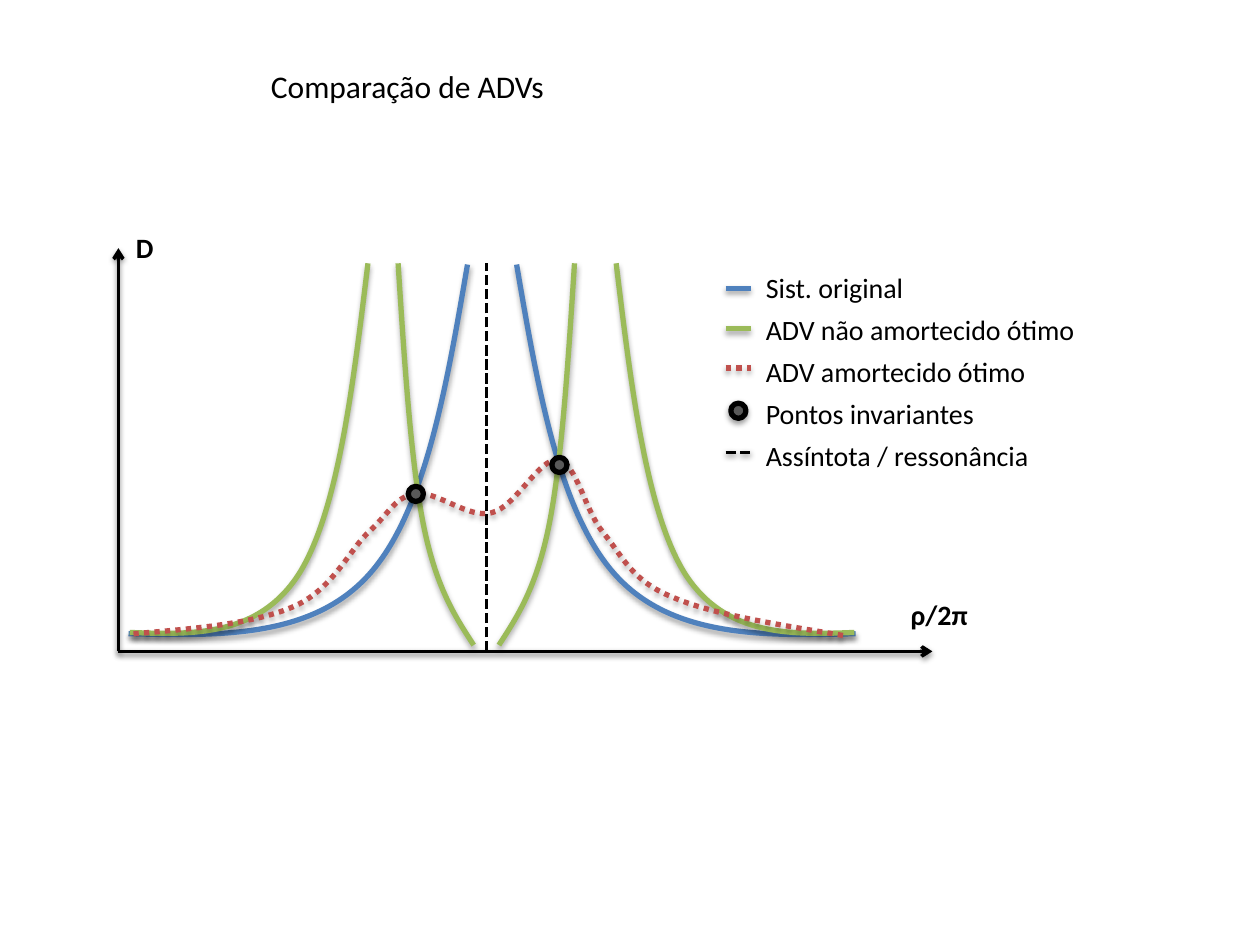
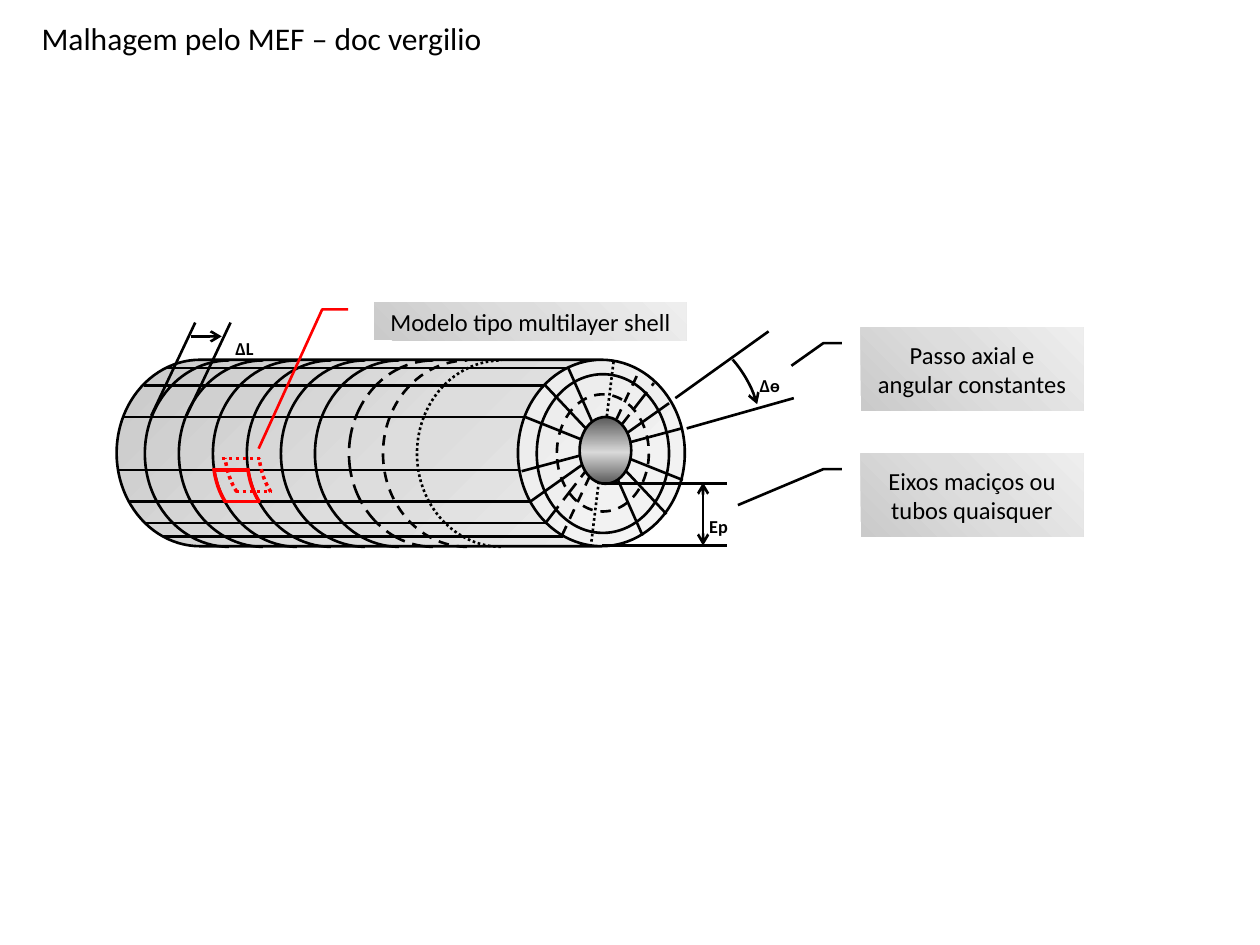
from lxml import etree
from pptx import Presentation
from pptx.dml.color import RGBColor
from pptx.enum.dml import MSO_LINE
from pptx.enum.shapes import MSO_CONNECTOR, MSO_SHAPE
from pptx.enum.text import MSO_ANCHOR, MSO_AUTO_SIZE, PP_ALIGN
from pptx.oxml.ns import qn
from pptx.util import Inches, Pt

STRAIGHT = MSO_CONNECTOR.STRAIGHT
ARC, CAN, ELLIPSE = MSO_SHAPE.ARC, MSO_SHAPE.CAN, MSO_SHAPE.OVAL
CALLOUT = MSO_SHAPE.LINE_CALLOUT_2_NO_BORDER
SYS_DASH, SYS_DOT = MSO_LINE.SQUARE_DOT, MSO_LINE.ROUND_DOT
DASH, LONG_DASH = MSO_LINE.DASH, MSO_LINE.LONG_DASH
LEFT, CENTER = PP_ALIGN.LEFT, PP_ALIGN.CENTER
TOP, MIDDLE = MSO_ANCHOR.TOP, MSO_ANCHOR.MIDDLE

COLORS = {
    "black": "000000",
    "blue": "4F81BD",
    "green": "9BBB59",
    "red": "C0504D",
    "highlight": "FF0000",
    "point": "595959",
}
FONT = "Calibri"
TITLE_ONLY = 5
PALE_GRADIENT = (315, [(0, "CACACA"), (50, "DDDDDD"), (100, "EEEEEE")])
STEEL_GRADIENT = (90, [(0, "595959"), (53, "D9D9D9"), (100, "595959")])
THIN_SHADOW = {"alpha": 38, "distance": 1.6}
CURVE_SHADOW = {"alpha": 35, "distance": 1.8}
LEADER_START = (3 / 16, -1 / 12, 3 / 16, -1 / 6)

AXIS = {"width": 2, "shadow": THIN_SHADOW}
RESONANCE = {"width": 2, "dash": SYS_DASH}
BLUE_CURVE = {"color": "blue", "width": 3, "shadow": CURVE_SHADOW}
GREEN_CURVE = {**BLUE_CURVE, "color": "green"}
RED_CURVE = {**BLUE_CURVE, "color": "red", "dash": SYS_DOT}
POINT = {"width": 3, "shadow": THIN_SHADOW}
ELEMENT = {"color": "highlight", "width": 2}
HIDDEN_ELEMENT = {**ELEMENT, "dash": SYS_DOT}


def apply(target, values):
    for name, value in values.items():
        setattr(target, name, value)


def add_element(parent, tag, **attributes):
    return etree.SubElement(parent, qn(tag), {key: str(value) for key, value in attributes.items()})


def set_outline(shape, color="black", width=1.5, dash=None, shadow=None, arrows=()):
    shape.line.color.rgb = RGBColor.from_string(COLORS[color])
    apply(shape.line, {"width": Pt(width), "dash_style": dash})
    properties = shape._element.spPr
    for end in arrows:
        add_element(properties.find(qn("a:ln")), f"a:{end}End", type="arrow")
    effects = add_element(properties, "a:effectLst")
    if shadow:
        outer = add_element(effects, "a:outerShdw", blurRad=Pt(3.1), dist=Pt(shadow["distance"]),
                            dir=90 * 60000, rotWithShape=0)
        color_element = add_element(outer, "a:srgbClr", val=COLORS["black"])
        add_element(color_element, "a:alpha", val=shadow["alpha"] * 1000)


def set_gradient(shape, gradient):
    angle, stops = gradient
    shape.fill.gradient()
    fill = shape._element.spPr.find(qn("a:gradFill"))
    for child in list(fill):
        fill.remove(child)
    fill.set("rotWithShape", "1")
    stop_list = add_element(fill, "a:gsLst")
    for position, color in stops:
        stop = add_element(stop_list, "a:gs", pos=position * 1000)
        add_element(stop, "a:srgbClr", val=color)
    add_element(fill, "a:lin", ang=angle * 60000, scaled=0)


def add_line(slide, start, end, **outline):
    line = slide.shapes.add_connector(STRAIGHT, *map(Inches, (*start, *end)))
    set_outline(line, **outline)


def add_preset(slide, kind, box, fill=None, adjustments=(), rotation=0, **outline):
    shape = slide.shapes.add_shape(kind, *map(Inches, box))
    shape.rotation = rotation
    for index, value in enumerate(adjustments):
        shape.adjustments[index] = value
    if fill is None:
        shape.fill.background()
    elif isinstance(fill, tuple):
        set_gradient(shape, fill)
    else:
        shape.fill.solid()
        shape.fill.fore_color.rgb = RGBColor.from_string(COLORS[fill])
    set_outline(shape, **outline)
    return shape


def add_arc(slide, box, start, end, **outline):
    add_preset(slide, ARC, box, adjustments=(start, end), **outline)


def add_curve(slide, controls, **outline):
    start, *points = [tuple(map(Inches, point)) for point in controls]
    builder = slide.shapes.build_freeform(*start)
    builder.add_line_segments(points, close=False)
    curve = builder.convert_to_shape()
    segments = list(curve._element.spPr.iter(qn("a:lnTo")))
    for first in range(0, len(segments), 3):
        bezier = add_element(segments[first].getparent(), "a:cubicBezTo")
        for segment in segments[first:first + 3]:
            bezier.append(segment[0])
            segment.getparent().remove(segment)
    curve.fill.background()
    set_outline(curve, **outline)


def add_mirrored_curves(slide, controls, mirror_sum, **outline):
    add_curve(slide, controls, **outline)
    add_curve(slide, [(mirror_sum - x, y) for x, y in controls], **outline)


def write(shape, text, size, bold=False, align=LEFT, anchor=TOP, wrap=False, baseline=0):
    frame = shape.text_frame
    apply(frame, {"word_wrap": wrap, "auto_size": MSO_AUTO_SIZE.NONE, "vertical_anchor": anchor})
    paragraph = frame.paragraphs[0]
    paragraph.alignment = align
    run = paragraph.add_run()
    run.text = text
    apply(run.font, {"name": FONT, "size": Pt(size), "bold": bold})
    run.font.color.rgb = RGBColor.from_string(COLORS["black"])
    if baseline:
        run._r.get_or_add_rPr().set("baseline", str(baseline * 1000))


def add_label(slide, text, box, size=16, **style):
    write(slide.shapes.add_textbox(*map(Inches, box)), text, size, **style)


def add_dimension_label(slide, text, left, top):
    add_label(slide, text, (left, top, 0.38, 0.3), size=18, bold=True, baseline=-25)


def add_callout(slide, text, box, leader_end, color):
    shape = add_preset(slide, CALLOUT, box, PALE_GRADIENT, LEADER_START + leader_end, color=color)
    write(shape, text, 14, align=CENTER, anchor=MIDDLE, wrap=True)


def add_titled_slide(presentation, text, box):
    slide = presentation.slides.add_slide(presentation.slide_layouts[TITLE_ONLY])
    title = slide.shapes.title
    apply(title, dict(zip(("left", "top", "width", "height"), map(Inches, box))))
    write(title, text, 18)
    return slide


def add_invariant_point(slide, x, y):
    add_preset(slide, ELLIPSE, (x - 0.06, y - 0.06, 0.12, 0.12), "point", **POINT)


def add_legend(slide):
    entries = [
        ("Sist. original", 1.3, 2.29, BLUE_CURVE),
        ("ADV não amortecido ótimo", 2.69, 2.61, GREEN_CURVE),
        ("ADV amortecido ótimo", 2.29, 2.92, RED_CURVE),
        ("Pontos invariantes", 1.87, 3.26, None),
        ("Assíntota / ressonância", 2.31, 3.59, {**RESONANCE, "shadow": THIN_SHADOW}),
    ]
    for index, (text, width, marker_y, outline) in enumerate(entries):
        if outline:
            add_line(slide, (5.76, marker_y), (5.96, marker_y), **outline)
        else:
            add_invariant_point(slide, 5.86, marker_y)
        add_label(slide, text, (5.98, 2.1 + index / 3, width, 0.37))


def build_comparison(presentation):
    slide = add_titled_slide(presentation, "Comparação de ADVs", (2.05, 0.48, 2.39, 0.4))
    origin = (0.94, 5.17)
    for axis_end in ((0.94, 1.97), (7.4, 5.17)):
        add_line(slide, origin, axis_end, arrows=["tail"], **AXIS)
    add_line(slide, (3.86, 5.17), (3.86, 2.09), **RESONANCE)

    undamped = [(1.02, 5.03), (1.75, 5.05), (2.47, 5.06), (2.92, 4.57), (3.37, 4.08), (3.54, 3.09), (3.71, 2.1)]
    outer = [(1.03, 5.02), (1.54, 5.04), (2.05, 5.05), (2.37, 4.56), (2.68, 4.07), (2.8, 3.08), (2.92, 2.09)]
    inner = [(3.16, 2.09), (3.21, 2.87), (3.26, 3.65), (3.36, 4.16), (3.46, 4.66), (3.61, 4.89), (3.76, 5.12)]
    damped = [
        (1.06, 5.03), (1.54, 4.99), (2.03, 4.95), (2.34, 4.81), (2.65, 4.67), (2.78, 4.35), (2.94, 4.21),
        (3.1, 4.06), (3.14, 3.94), (3.3, 3.92), (3.46, 3.89), (3.72, 4.12), (3.9, 4.07),
        (4.09, 4.03), (4.28, 3.63), (4.43, 3.65), (4.58, 3.68), (4.64, 4.05), (4.79, 4.23),
        (4.94, 4.41), (5.01, 4.61), (5.34, 4.74), (5.66, 4.88), (6.2, 4.96), (6.73, 5.05),
    ]
    add_mirrored_curves(slide, undamped, 7.81, **BLUE_CURVE)
    add_mirrored_curves(slide, outer, 7.81, **GREEN_CURVE)
    add_mirrored_curves(slide, inner, 7.72, **GREEN_CURVE)
    add_curve(slide, damped, **RED_CURVE)
    for x, y in ((3.3, 3.92), (4.44, 3.69)):
        add_invariant_point(slide, x, y)

    add_legend(slide)
    add_label(slide, "D", (0.98, 1.78, 0.34, 0.37), bold=True)
    add_label(slide, "ρ/2π", (7.13, 4.69, 0.66, 0.37), bold=True)


def add_cylinder(slide):
    add_preset(slide, CAN, (2.44, 1.34, 1.48, 4.51), PALE_GRADIENT, [0.895], 90)
    ring_dashes = [None] * 6 + [LONG_DASH, DASH, SYS_DOT]
    for index, dash in enumerate(ring_dashes):
        add_arc(slide, (1.08 + 0.27 * index, 2.93, 1.48, 1.34), 108.16, 0, rotation=270, dash=dash)
    add_preset(slide, ELLIPSE, (4.26, 2.97, 1.05, 1.26))
    add_preset(slide, ELLIPSE, (4.42, 3.13, 0.73, 0.93), dash=DASH)

    axial_starts = [(1.32, 2.92), (1.14, 3.06), (0.98, 3.31), (0.94, 3.73), (1.03, 3.98), (1.15, 4.15), (1.29, 4.26)]
    for x, y in axial_starts:
        add_line(slide, (x, y), (x + 3.18, y))
    diameters = [
        ((4.51, 2.92), (5.1, 4.25), None),
        ((4.32, 3.05), (5.29, 4.08), None),
        ((4.17, 3.31), (5.42, 3.81), None),
        ((4.14, 3.74), (5.41, 3.4), None),
        ((4.21, 3.98), (5.31, 3.2), None),
        ((4.33, 4.15), (5.19, 3.04), LONG_DASH),
        ((4.46, 4.25), (5.07, 2.95), DASH),
        ((4.87, 2.87), (4.69, 4.33), SYS_DOT),
    ]
    for start, end, dash in diameters:
        add_line(slide, start, end, dash=dash)


def add_dimensions(slide):
    add_line(slide, (5.36, 3.16), (6.1, 2.63))
    add_line(slide, (5.45, 3.4), (6.3, 3.16))
    add_arc(slide, (4.68, 2.72, 1.48, 1.17), 149.59, 173.36, rotation=61.8, arrows=["tail"])
    add_dimension_label(slide, "Δѳ", 5.93, 2.75)

    for x in (1.2, 1.48):
        add_line(slide, (x, 3.3), (x + 0.35, 2.56))
    add_line(slide, (1.52, 2.67), (1.76, 2.67), arrows=["tail"])
    add_dimension_label(slide, "ΔL", 1.77, 2.46)

    add_preset(slide, ELLIPSE, (4.6, 3.31, 0.41, 0.53), STEEL_GRADIENT)
    for y in (3.84, 4.33):
        add_line(slide, (4.78, y), (5.77, y))
    add_line(slide, (5.58, 4.33), (5.58, 3.83), arrows=["head", "tail"])
    add_dimension_label(slide, "Ep", 5.53, 3.87)


def add_shell_element(slide, arc_left, arc_top, edges, outline):
    for left in (arc_left, arc_left + 0.27):
        add_arc(slide, (left, arc_top, 0.59, 1), 70.58, 95.96, **outline)
    for start, end, y in edges:
        add_line(slide, (start, y), (end, y), **outline)


def build_mesh(presentation):
    slide = add_titled_slide(presentation, "Malhagem pelo MEF – doc vergilio", (0.23, 0.1, 3.74, 0.4))
    add_cylinder(slide)
    callouts = [
        ("Modelo tipo multilayer shell", (2.97, 2.4, 2.48, 0.3), (3.87, -0.37), "highlight"),
        ("Eixos maciços ou tubos quaisquer", (6.83, 3.6, 1.77, 0.66), (0.62, -0.55), "black"),
        ("Passo axial e angular constantes", (6.83, 2.6, 1.77, 0.66), (0.46, -0.31), "black"),
    ]
    for callout in callouts:
        add_callout(slide, *callout)
    add_dimensions(slide)
    add_shell_element(slide, 1.69, 3.11, [(1.7, 1.97, 3.73), (1.78, 2.06, 3.98)], ELEMENT)
    add_shell_element(slide, 1.78, 3.03, [(1.87, 2.15, 3.9), (1.76, 2.08, 3.64)], HIDDEN_ELEMENT)


def main():
    presentation = Presentation()
    apply(presentation, {"slide_width": Inches(10), "slide_height": Inches(7.5)})
    build_comparison(presentation)
    build_mesh(presentation)
    presentation.save("out.pptx")


if __name__ == "__main__":
    main()
